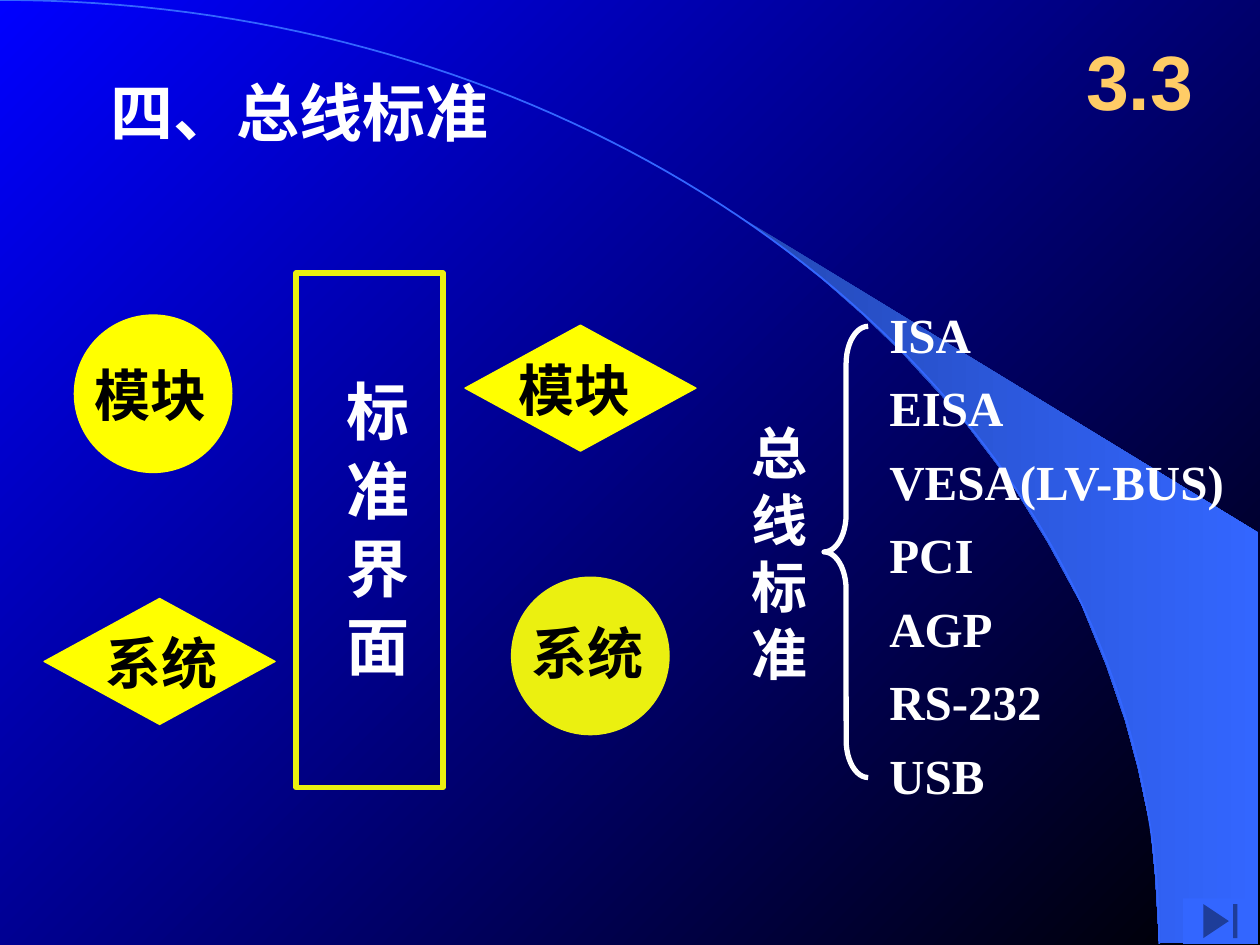
from dataclasses import dataclass
from typing import Optional

from lxml import etree
from pptx import Presentation
from pptx import util as u
from pptx.dml.color import RGBColor
from pptx.enum import shapes, text

COLORS = {
    "white": "FFFFFF", "black": "000000", "yellow": "FFFF00",
    "olive": "EBF010", "gold": "FFCC66", "blue": "0000FF",
    "sky": "3366FF", "dusk": "2449B6",
}
SERIF, SANS = "Times New Roman", "Arial"
SHAPE = shapes.MSO_SHAPE


@dataclass
class Area:
    left: float
    top: float
    width: float
    height: float

    def lengths(self) -> list:
        return [u.Pt(v) for v in (self.left, self.top, self.width, self.height)]


@dataclass
class Label:
    area: Area
    lines: list
    size: float
    color: str = "white"
    font: str = SERIF
    wrap: bool = True
    spacing: Optional[float] = None
    vertical: bool = False
    centered: bool = False


@dataclass
class Node:
    preset: int
    area: Area
    color: str
    caption: str
    caption_left: float
    caption_top: float


def rgb(name: str) -> RGBColor:
    return RGBColor.from_string(COLORS[name])


def paint_gradient(fill, start: str, end: str, angle: float) -> None:
    """Fill with two stops; the angle runs counter-clockwise."""
    fill.gradient()
    fill.gradient_angle = angle
    for stop, name in zip(fill.gradient_stops, (start, end)):
        stop.color.rgb = rgb(name)


def style_shape(shape, fill: Optional[str], line: Optional[str], width: float = 0.75) -> None:
    shape.shadow.inherit = False
    if fill:
        shape.fill.solid()
        shape.fill.fore_color.rgb = rgb(fill)
    else:
        shape.fill.background()
    if line:
        shape.line.color.rgb = rgb(line)
        shape.line.width = u.Pt(width)
    else:
        shape.line.fill.background()


def add_shape(page, preset: int, area: Area, fill: Optional[str], line: Optional[str],
              width: float = 0.75):
    shape = page.shapes.add_shape(preset, *area.lengths())
    style_shape(shape, fill, line, width)
    return shape


def add_label(page, label: Label) -> None:
    box = page.shapes.add_textbox(*label.area.lengths())
    frame = box.text_frame
    frame.word_wrap = label.wrap
    if label.vertical:
        etree.ETXPath("{http://schemas.openxmlformats.org/drawingml/2006/main}bodyPr")(
            frame._txBody)[0].set("vert", "eaVert")
    if label.centered:
        frame.vertical_anchor = text.MSO_ANCHOR.MIDDLE
    for index, line in enumerate(label.lines):
        para = frame.add_paragraph() if index else frame.paragraphs[0]
        if label.centered:
            para.alignment = text.PP_ALIGN.CENTER
        if label.spacing:
            para.line_spacing = label.spacing
        span = para.add_run()
        span.text = line
        span.font.name = label.font
        span.font.size = u.Pt(label.size)
        span.font.bold = True
        span.font.color.rgb = rgb(label.color)


def add_node(page, node: Node) -> None:
    add_shape(page, node.preset, node.area, node.color, node.color)
    caption_area = Area(node.caption_left, node.caption_top, 78.5, 45.4)
    add_label(page, Label(caption_area, [node.caption], 32, "black", wrap=False))


def add_outline(page, points: list, close: bool):
    corners = [(u.Pt(x), u.Pt(y)) for x, y in points]
    builder = page.shapes.build_freeform(*corners[0])
    builder.add_line_segments(corners[1:], close=close)
    return builder.convert_to_shape()


def arc_points(steps: int = 80) -> list:
    """Points on the Bezier curve from the top left to the bottom right."""
    ends = [(0, 0), (365.8, 0), (662.4, 241.2), (662.4, 539.3)]
    points = []
    for step in range(steps + 1):
        t = step / steps
        weights = ((1 - t) ** 3, 3 * t * (1 - t) ** 2, 3 * t ** 2 * (1 - t), t ** 3)
        points.append(tuple(sum(w * p[axis] for w, p in zip(weights, ends))
                            for axis in (0, 1)))
    return points


BEAM = [
    (662.4, 538.6), (719.3, 539.3), (719.3, 304.6), (424.1, 124.6), (449.3, 143.3),
    (470.2, 159.8), (493.2, 180), (515.5, 201.6), (548.6, 237.6), (578.2, 276.5),
    (599, 310.3), (617.8, 344.9), (632.2, 380.2), (643, 411.8), (650.2, 438.5),
    (657.4, 472.3), (660.2, 501.1),
]

NODES = [
    Node(SHAPE.OVAL, Area(42.5, 180, 90, 90), "yellow", "模块", 46.8, 202.3),
    Node(SHAPE.OVAL, Area(292.3, 329.8, 90, 90), "olive", "系统", 296.6, 349.9),
    Node(SHAPE.DIAMOND, Area(25.2, 342, 132, 72), "yellow", "系统", 53.3, 355.7),
    Node(SHAPE.DIAMOND, Area(265.7, 185.8, 132, 72), "yellow", "模块", 289.4, 199.4),
]

BUSES = ["ISA", "EISA", "VESA(LV-BUS)", "PCI", "AGP", "RS-232", "USB"]

LABELS = [
    Label(Area(501.1, 162, 218, 301), BUSES, 28, spacing=1.25),
    Label(Area(422.6, 235.4, 42.5, 160.6), list("总线标准"), 32),
    Label(Area(55.8, 38.2, 388, 50.4), ["四、总线标准"], 36),
    Label(Area(606.2, 12.2, 90, 66.2), ["3.3"], 44, "gold", SANS, centered=True),
    Label(Area(182.2, 210.2, 57.6, 252), ["标 准 界 面"], 36, vertical=True),
]


def main() -> None:
    deck = Presentation()
    deck.slide_width, deck.slide_height = u.Pt(720), u.Pt(540)
    page = deck.slides.add_slide(deck.slide_layouts[6])
    paint_gradient(page.background.fill, "blue", "black", 315)

    beam = add_outline(page, BEAM, close=True)
    style_shape(beam, None, None)
    paint_gradient(beam.fill, "dusk", "sky", 0)
    style_shape(add_outline(page, arc_points(), close=False), None, "sky", 1)

    for node in NODES:
        add_node(page, node)
    brace = add_shape(page, SHAPE.LEFT_BRACE, Area(470.9, 186.5, 25.2, 257.8),
                      None, "white", 3)
    brace.adjustments[0] = 0.85
    add_shape(page, SHAPE.RECTANGLE, Area(169.2, 156, 84, 294), None, "olive", 3)
    for label in LABELS:
        add_label(page, label)
    add_shape(page, SHAPE.ACTION_BUTTON_END, Area(676.1, 513.4, 42.5, 25.9), "sky", None)

    deck.save("out.pptx")


if __name__ == "__main__":
    main()
